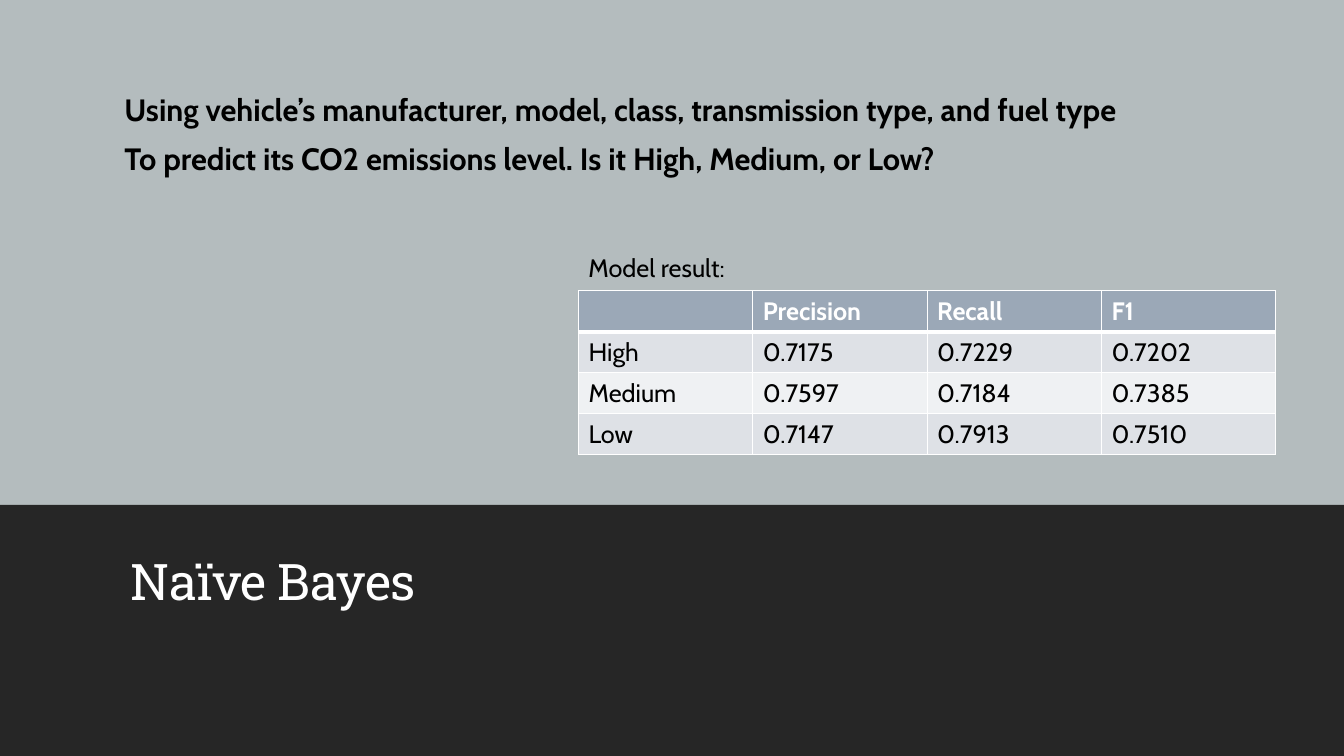
from lxml.etree import SubElement
from pptx import Presentation
from pptx.dml.color import RGBColor
from pptx.enum.shapes import MSO_SHAPE
from pptx.enum.text import MSO_ANCHOR as Anchor
from pptx.oxml.ns import qn
from pptx.util import Emu, Pt

EMU_PER_PX = 9525
BODY_FONT, TITLE_FONT = "Cabin", "Roboto Slab"

BACKGROUND = RGBColor(0xB4, 0xBC, 0xBE)
BAND = RGBColor(0x26, 0x26, 0x26)
HEADER = RGBColor(0x9B, 0xA8, 0xB7)
ODD_ROW = RGBColor(0xDE, 0xE1, 0xE6)
EVEN_ROW = RGBColor(0xEF, 0xF1, 0xF3)
BLACK = RGBColor(0, 0, 0)
WHITE = RGBColor(0xFF, 0xFF, 0xFF)

RESULTS = [
    ["", "Precision", "Recall", "F1"],
    ["High", "0.7175", "0.7229", "0.7202"],
    ["Medium", "0.7597", "0.7184", "0.7385"],
    ["Low", "0.7147", "0.7913", "0.7510"],
]


def px(length):
    return Emu(length * EMU_PER_PX)


def box(*lengths):
    return [px(length) for length in lengths]


def format_text(text_frame, size, color, font=BODY_FONT, bold=False):
    for paragraph in text_frame.paragraphs:
        for run in paragraph.runs:
            run.font.name = font
            run.font.size = Pt(size)
            run.font.bold = bold
            run.font.color.rgb = color


def add_text(slide, place, text, size, color, wrap=True, **style):
    text_frame = slide.shapes.add_textbox(*box(*place)).text_frame
    text_frame.word_wrap = wrap
    text_frame.text = text
    format_text(text_frame, size, color, **style)
    return text_frame


def remove_vertical_margins(text_frame):
    text_frame.margin_top = text_frame.margin_bottom = 0


def add_band(slide, place, color):
    band = slide.shapes.add_shape(MSO_SHAPE.RECTANGLE, *box(*place))
    band.shadow.inherit = False
    band.fill.solid()
    band.fill.fore_color.rgb = color
    band.line.fill.background()


def set_borders(cell, widths):
    """Draw white borders; they must precede the fill in the cell's XML."""
    properties = cell._tc.get_or_add_tcPr()
    for side, width in widths.items():
        line = SubElement(properties, qn(f"a:ln{side}"), w=str(Pt(width)))
        fill = SubElement(line, qn("a:solidFill"))
        SubElement(fill, qn("a:srgbClr"), val=str(WHITE))


def add_results_table(slide, left, top, column_width, row_height, rows):
    row_count, column_count = len(rows), len(rows[0])
    place = box(left, top, column_width * column_count, row_height * row_count)
    table = slide.shapes.add_table(row_count, column_count, *place).table
    for row_index, values in enumerate(rows):
        is_header = row_index == 0
        fill = HEADER if is_header else ODD_ROW if row_index % 2 else EVEN_ROW
        widths = {
            "L": 1,
            "R": 1,
            "T": 3 if row_index == 1 else 1,
            "B": 3 if is_header else 1,
        }
        for column_index, value in enumerate(values):
            cell = table.cell(row_index, column_index)
            cell.text_frame.text = value
            format_text(cell.text_frame, 18, WHITE if is_header else BLACK, bold=is_header)
            set_borders(cell, widths)
            cell.fill.solid()
            cell.fill.fore_color.rgb = fill


def main():
    presentation = Presentation()
    presentation.slide_width, presentation.slide_height = box(1280, 720)
    slide = presentation.slides.add_slide(presentation.slide_layouts[6])

    # Background and dark title band
    slide.background.fill.solid()
    slide.background.fill.fore_color.rgb = BACKGROUND
    add_band(slide, (0, 481, 1280, 239), BAND)

    # Title
    title = add_text(slide, (115, 504, 1062, 78), "Naïve Bayes", 36, WHITE, font=TITLE_FONT)
    remove_vertical_margins(title)
    title.vertical_anchor = Anchor.BOTTOM
    title.paragraphs[0].line_spacing = 0.9
    title.paragraphs[0].runs[0].font._element.set("spc", "-50")

    # Task description
    task = add_text(
        slide,
        (109, 83, 1062, 111),
        "Using vehicle’s manufacturer, model, class, transmission type, and fuel type\n"
        "To predict its CO2 emissions level. Is it High, Medium, or Low?",
        22,
        BLACK,
        bold=True,
    )
    remove_vertical_margins(task)
    for paragraph in task.paragraphs:
        paragraph.line_spacing = 1.1
        paragraph.space_after = Pt(6)

    # Model results
    add_results_table(slide, 551, 277, 166, 39, RESULTS)
    add_text(slide, (551, 236, 153, 38), "Model result:", 18, BLACK, wrap=False)

    presentation.save("out.pptx")


if __name__ == "__main__":
    main()
